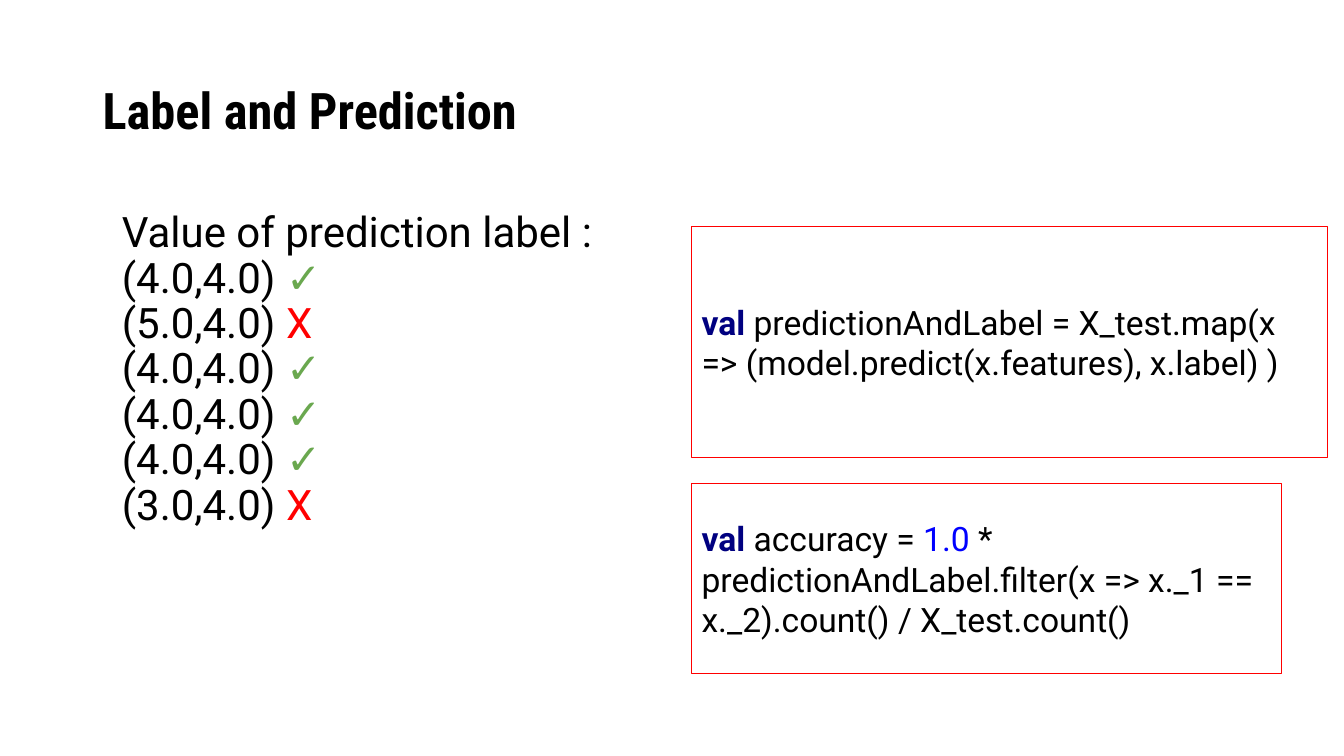
from pptx import Presentation
from pptx.dml.color import RGBColor
from pptx.enum.shapes import MSO_SHAPE
from pptx.enum.text import MSO_ANCHOR, PP_ALIGN
from pptx.util import Inches, Pt

COLORS = {
    "text": "000000",
    "keyword": "000080",
    "number": "0000FF",
    "correct": "6AA84F",
    "wrong": "FF0000",
    "border": "FF0000",
}


class SlideBuilder:
    font = "Roboto"
    heading_font = "Roboto Condensed"
    inset = Inches(0.1)

    def __init__(self, slide):
        self.slide = slide

    def fill_text(self, shape, lines, size, font=None, anchor=MSO_ANCHOR.MIDDLE,
                  spacing=1.0, margin=0, indent=0):
        frame = shape.text_frame
        frame.word_wrap = True
        frame.vertical_anchor = anchor
        frame.margin_left = frame.margin_right = self.inset
        frame.margin_top = frame.margin_bottom = self.inset
        for index, line in enumerate(lines):
            paragraph = frame.add_paragraph() if index else frame.paragraphs[0]
            paragraph.alignment = PP_ALIGN.LEFT
            paragraph.line_spacing = spacing
            properties = paragraph._p.get_or_add_pPr()
            properties.set("marL", str(Inches(margin)))
            properties.set("indent", str(Inches(indent)))
            for text, color in line:
                run = paragraph.add_run()
                run.text = text
                run.font.name = font or self.font
                run.font.size = Pt(size)
                run.font.bold = font == self.heading_font or color == "keyword"
                run.font.color.rgb = RGBColor.from_string(COLORS[color])

    def text(self, left, top, width, height, lines, size, **style):
        box = self.slide.shapes.add_textbox(
            Inches(left), Inches(top), Inches(width), Inches(height))
        self.fill_text(box, lines, size, **style)

    def code(self, left, top, width, height, tokens):
        box = self.slide.shapes.add_shape(
            MSO_SHAPE.RECTANGLE,
            Inches(left), Inches(top), Inches(width), Inches(height))
        box.shadow.inherit = False
        box.fill.background()
        box.line.color.rgb = RGBColor.from_string(COLORS["border"])
        box.line.width = Pt(0.75)
        self.fill_text(box, [tokens], 24)


def main():
    deck = Presentation()
    deck.slide_width = Inches(13.33)
    deck.slide_height = Inches(7.5)
    builder = SlideBuilder(deck.slides.add_slide(deck.slide_layouts[6]))

    builder.text(0.92, 0.25, 11.5, 1.74, [[("Label and Prediction", "text")]], 36,
                 font=builder.heading_font, spacing=0.9)

    predictions = [4.0, 5.0, 4.0, 4.0, 4.0, 3.0]
    label = 4.0
    results = [[("Value of prediction label :", "text")]]
    for prediction in predictions:
        mark = ("✓", "correct") if prediction == label else ("X", "wrong")
        results.append([(f"({prediction},{label}) ", "text"), mark])
    builder.text(0.92, 2, 11.5, 5.5, results, 30, anchor=MSO_ANCHOR.TOP,
                 spacing=0.9, margin=0.25, indent=-0.06)

    builder.code(6.86, 2.25, 6.31, 2.29, [
        ("val ", "keyword"),
        ("predictionAndLabel = X_test.map(x => (model.predict(x.features), x.label) )",
         "text"),
    ])
    builder.code(6.86, 4.8, 5.85, 1.88, [
        ("val ", "keyword"),
        ("accuracy = ", "text"),
        ("1.0 ", "number"),
        ("* predictionAndLabel.filter(x => x._1 == x._2).count() / X_test.count()",
         "text"),
    ])
    deck.save("out.pptx")


if __name__ == "__main__":
    main()
